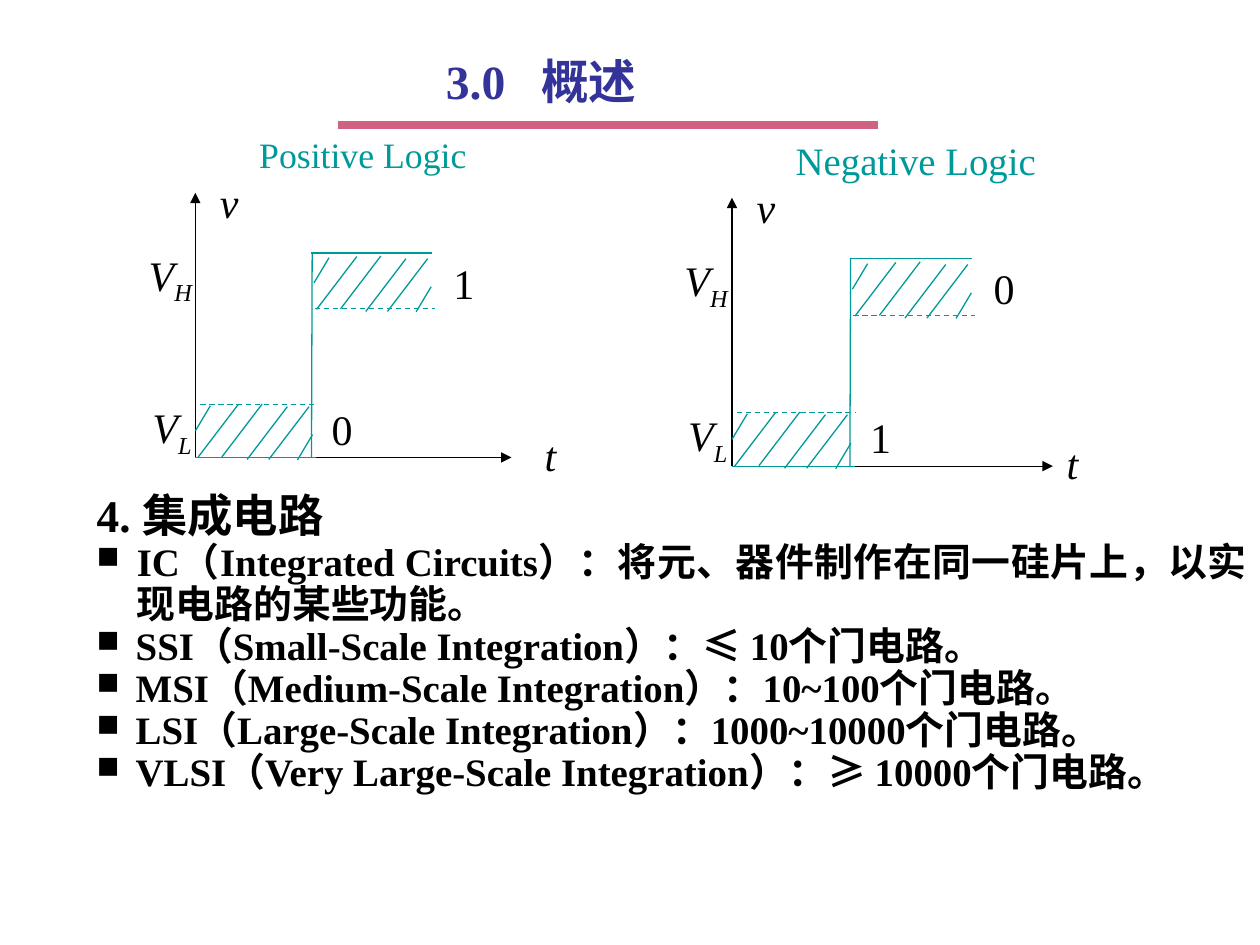
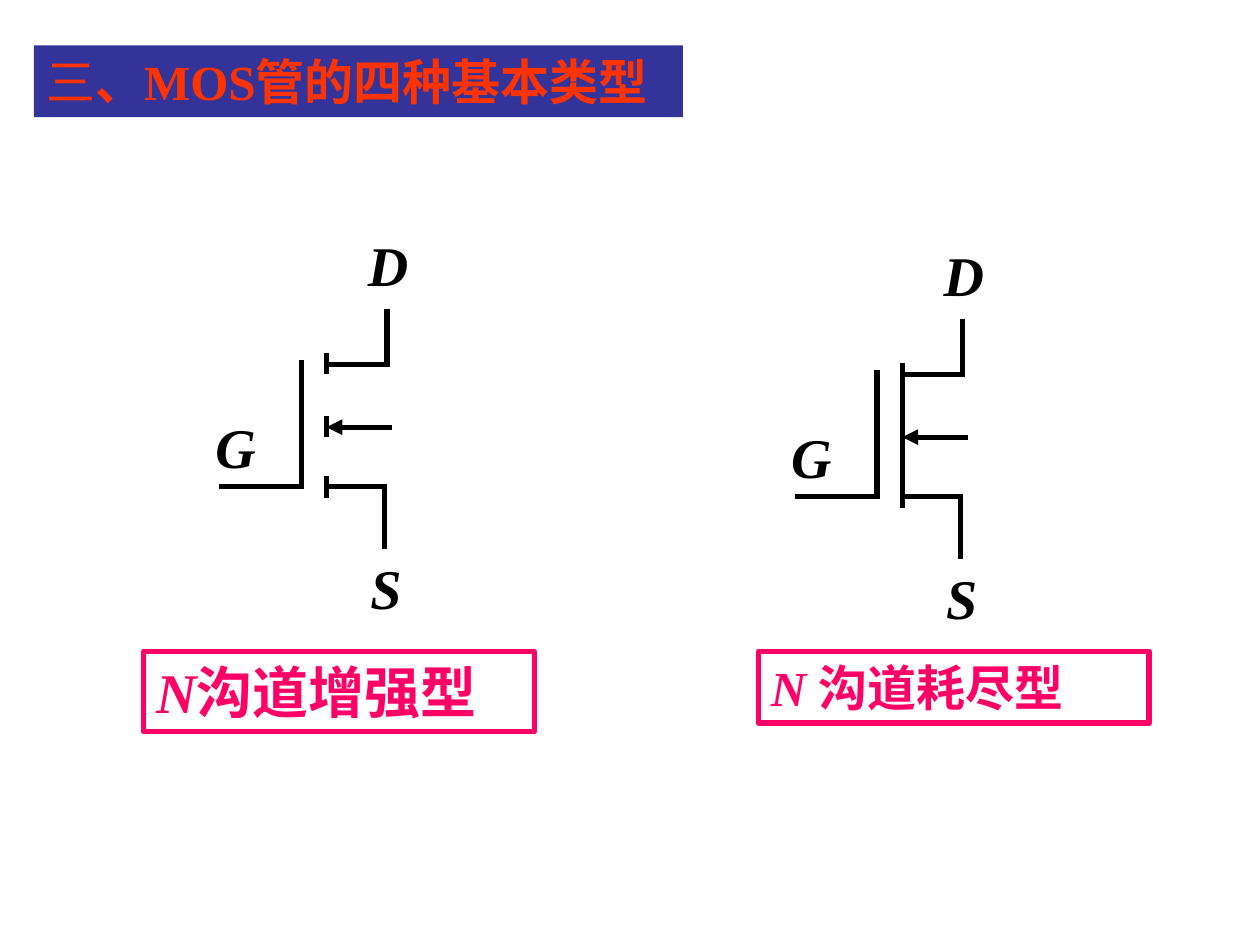
from dataclasses import dataclass

from lxml.etree import SubElement
from pptx import Presentation
from pptx.dml.color import RGBColor
from pptx.enum.dml import MSO_LINE
from pptx.enum.shapes import MSO_CONNECTOR, MSO_SHAPE
from pptx.enum.text import MSO_ANCHOR, PP_ALIGN
from pptx.oxml.ns import qn
from pptx.util import Pt


@dataclass(frozen=True)
class Theme:
    ink: str = "000000"
    navy: str = "333399"
    teal: str = "009999"
    rose: str = "D16181"
    pink: str = "FF0066"
    orange: str = "FF3300"
    serif: str = "Times New Roman"
    sans: str = "Arial"
    numeral_font: str = "DejaVu Sans"
    title: float = 27.2
    heading: float = 25.9
    body: float = 22.2
    axis: float = 24
    band: float = 28
    terminal: float = 32
    thin: float = 0.75
    thick: float = 3
    rule: float = 4.5
    spacing: float = 0.9


@dataclass(frozen=True)
class Box:
    left: float
    top: float
    width: float
    height: float

    def inner(self, x, y, width, height):
        return Box(self.left + x, self.top + y, width, height)

    def point(self, x, y):
        return self.left + x, self.top + y

    def lengths(self):
        return [Pt(n) for n in (self.left, self.top, self.width, self.height)]


THEME = Theme()


def write(paragraph, text, size=THEME.body, color=THEME.ink, font=THEME.serif,
          bold=False, italic=False, baseline=None):
    run = paragraph.add_run()
    run.text = text
    run.font.size = Pt(size)
    run.font.name = font
    run.font.bold = bold
    run.font.italic = italic
    run.font.color.rgb = RGBColor.from_string(color)
    if baseline:
        run.font._element.set("baseline", str(baseline * 1000))


def open_text(slide, box, align=PP_ALIGN.LEFT, spacing=None, anchor=MSO_ANCHOR.TOP):
    frame = slide.shapes.add_textbox(*box.lengths()).text_frame
    frame.word_wrap = True
    frame.vertical_anchor = anchor
    first = frame.paragraphs[0]
    first.alignment = align
    first.line_spacing = spacing
    return first, frame


def draw_line(slide, start, end, color=THEME.ink, width=THEME.thin, dashed=False, arrow=None):
    line = slide.shapes.add_connector(MSO_CONNECTOR.STRAIGHT, *[Pt(n) for n in (*start, *end)])
    line.line.color.rgb = RGBColor.from_string(color)
    line.line.width = Pt(width)
    if dashed:
        line.line.dash_style = MSO_LINE.DASH
    if arrow:
        SubElement(line.line._get_or_add_ln(), qn(f"a:{arrow}"), type="triangle")
    SubElement(line._element.spPr, qn("a:effectLst"))


def draw_panel(slide, box, fill=None, border=None, wrap=True):
    panel = slide.shapes.add_shape(MSO_SHAPE.RECTANGLE, *box.lengths())
    panel.shadow.inherit = False
    if fill:
        panel.fill.solid()
        panel.fill.fore_color.rgb = RGBColor.from_string(fill)
    else:
        panel.fill.background()
    if border:
        panel.line.color.rgb = RGBColor.from_string(border)
        panel.line.width = Pt(THEME.thick)
    else:
        panel.line.fill.background()
    panel.text_frame.word_wrap = wrap
    panel.text_frame.vertical_anchor = MSO_ANCHOR.TOP
    label = panel.text_frame.paragraphs[0]
    label.alignment = PP_ALIGN.LEFT
    return label


def add_bullet(paragraph, indent):
    props = paragraph._p.get_or_add_pPr()
    props.set("marL", str(Pt(indent)))
    props.set("indent", str(-Pt(indent)))
    SubElement(SubElement(props, qn("a:buClr")), qn("a:srgbClr"), val=THEME.ink)
    SubElement(props, qn("a:buSzPct"), val="80000")
    SubElement(props, qn("a:buChar"), char="■")
    paragraph.line_spacing = THEME.spacing


def section_title(slide, box):
    title, _ = open_text(slide, box, spacing=THEME.spacing, anchor=MSO_ANCHOR.MIDDLE)
    tabs = SubElement(title._p.get_or_add_pPr(), qn("a:tabLst"))
    SubElement(tabs, qn("a:tab"), pos=str(Pt(54.5)), algn="l")
    write(title, "3.0\t概述", size=THEME.title, color=THEME.navy, bold=True)
    draw_line(slide, box.point(-54.7, 43.2), box.point(254.2, 43.2), THEME.rose, THEME.rule)


def logic_graph(slide, axes, name, name_size, name_left, t_left, high_value, low_value):
    scale = axes.height / 151.2

    def at(x, up):
        return axes.point(x * scale, axes.height - up * scale)

    def label(x, up, text, subscript=None, italic=True, width=28.8):
        spot = Box(*at(x, up), width, 36)
        line, _ = open_text(slide, spot, PP_ALIGN.CENTER)
        write(line, text, size=THEME.axis, italic=italic)
        if subscript:
            write(line, subscript, size=THEME.axis, italic=italic, baseline=-25)

    def trace(start, end, dashed=False):
        draw_line(slide, at(*start), at(*end), THEME.teal, dashed=dashed)

    for tip in ((0, 151.2), (180.7, 0)):
        draw_line(slide, at(0, 0), at(*tip), arrow="tailEnd")

    trace((0, 0), (69.1, 0))
    trace((66.4, 0), (66.8, 117.4))
    trace((66.4, 116.8), (135.4, 116.8))
    trace((2.9, 30.2), (69.8, 30.2), dashed=True)
    trace((68.4, 85), (136.8, 85), dashed=True)

    hatches = [((x, up), (x - 23, up - 30.2))
               for x, up in ((24.5, 30.2), (38.2, 30.5), (52.6, 29), (65, 29))]
    hatches += [((x, up), (x - 8.6, up - 14.4)) for x, up in ((67, 13), (8.6, 29.5))]
    for shift, lift in ((0, 0), (67.8, 84.6)):
        for (x1, up1), (x2, up2) in hatches:
            trace((x1 + shift, up1 + lift), (x2 + shift, up2 + lift))

    label(t_left, 19.5, "t")
    label(5, 164, "v")
    label(-38, 122.6, "V", "H", width=47.5)
    label(-37, 35.4, "V", "L", width=47.5)
    label(139, 118, high_value, italic=False)
    label(69.5, 34.5, low_value, italic=False)

    heading, _ = open_text(slide, Box(*at(name_left, 186), 160.5, 33.5),
                           PP_ALIGN.CENTER, THEME.spacing)
    write(heading, name, size=name_size, color=THEME.teal)


def circuit_scales(slide, box):
    heading, frame = open_text(slide, box, spacing=THEME.spacing)
    write(heading, "4. 集成电路", size=THEME.heading, bold=True)

    definition = frame.add_paragraph()
    add_bullet(definition, 23)
    definition.alignment = PP_ALIGN.JUSTIFY
    write(definition, "IC（Integrated Circuits）：将元、器件制作在同一硅片上，以实现电路的某些功能。", bold=True)

    scales = (("SSI（Small-Scale Integration）：", "≤ ", "10"),
              ("MSI（Medium-Scale Integration）：", "", "10~100"),
              ("LSI（Large-Scale Integration）：", "", "1000~10000"),
              ("VLSI（Very Large-Scale Integration）：", "≥ ", "10000"))
    for term, sign, gates in scales:
        item = frame.add_paragraph()
        add_bullet(item, 22.3)
        write(item, term, bold=True)
        if sign:
            write(item, sign, font=THEME.sans, bold=True)
        write(item, f"{gates}个门电路。", bold=True)


def band_title(slide, box):
    label = draw_panel(slide, box, fill=THEME.navy, wrap=False)
    style = dict(size=THEME.band, color=THEME.orange)
    write(label, "三", font=THEME.numeral_font, **style)
    write(label, "、", font=THEME.numeral_font, bold=True, **style)
    write(label, "MOS管的四种基本类型", bold=True, **style)


def mos_symbol(slide, box, has_channel):
    plate, channel = 56.2, 70.6
    wires = [((plate, 77.8), (plate, 149.8)),
             ((57.6, 149.8), (9.4, 149.8)),
             ((69.1, 79.9), (106.6, 79.9)),
             ((channel, 149.8), (105.1, 149.8)),
             ((105.1, 81.4), (105.1, 48.2)),
             ((103.7, 148.3), (103.7, 185.8))]
    wires += [((channel, y), (channel, y + 12.2)) for y in (73.4, 109.4, 144)]
    if has_channel:
        wires.append(((channel, 76.3), (channel, 149.8)))
    for start, end in wires:
        draw_line(slide, box.point(*start), box.point(*end), width=THEME.thick)
    draw_line(slide, box.point(channel, 115.9), box.point(108, 115.9),
              width=THEME.thick, arrow="headEnd")

    for terminal, x, y in (("G", 0, 103.7), ("S", 88.6, 184.3), ("D", 87.1, 0)):
        label, _ = open_text(slide, box.inner(x, y, 52, 46))
        write(label, terminal, size=THEME.terminal, bold=True, italic=True)


def mos_name(slide, box, channel_type, mode, size):
    label = draw_panel(slide, box, border=THEME.pink)
    write(label, channel_type, size=size, color=THEME.pink, bold=True, italic=True)
    write(label, mode, size=size, color=THEME.pink, bold=True)


def overview_slide(slide):
    circuit_scales(slide, Box(48.2, 278.6, 671.8, 218.2))
    logic_graph(slide, Box(111.6, 110.2, 180.7, 151.2), "Positive Logic", 20.4,
                name_left=15.5, t_left=188.6, high_value="1", low_value="0")
    logic_graph(slide, Box(418.3, 113, 182.9, 153.4), "Negative Logic", THEME.body,
                name_left=24.5, t_left=177.5, high_value="0", low_value="1")
    section_title(slide, Box(247.7, 28.1, 139, 40.3))


def mos_types_slide(slide):
    band_title(slide, Box(19.4, 26, 370.8, 41))
    mos_symbol(slide, Box(445, 133.9, 142.6, 230.4), has_channel=True)
    mos_name(slide, Box(433.4, 372.2, 223.2, 41), "N ", "沟道耗尽型", THEME.band)
    mos_symbol(slide, Box(116, 128.2, 142.6, 230.4), has_channel=False)
    mos_name(slide, Box(82.1, 372.2, 223.2, 46), "N", "沟道增强型", THEME.terminal)


def main():
    deck = Presentation()
    deck.slide_width, deck.slide_height = Pt(720), Pt(540)
    for build in (overview_slide, mos_types_slide):
        build(deck.slides.add_slide(deck.slide_layouts[6]))
    deck.save("out.pptx")


if __name__ == "__main__":
    main()
